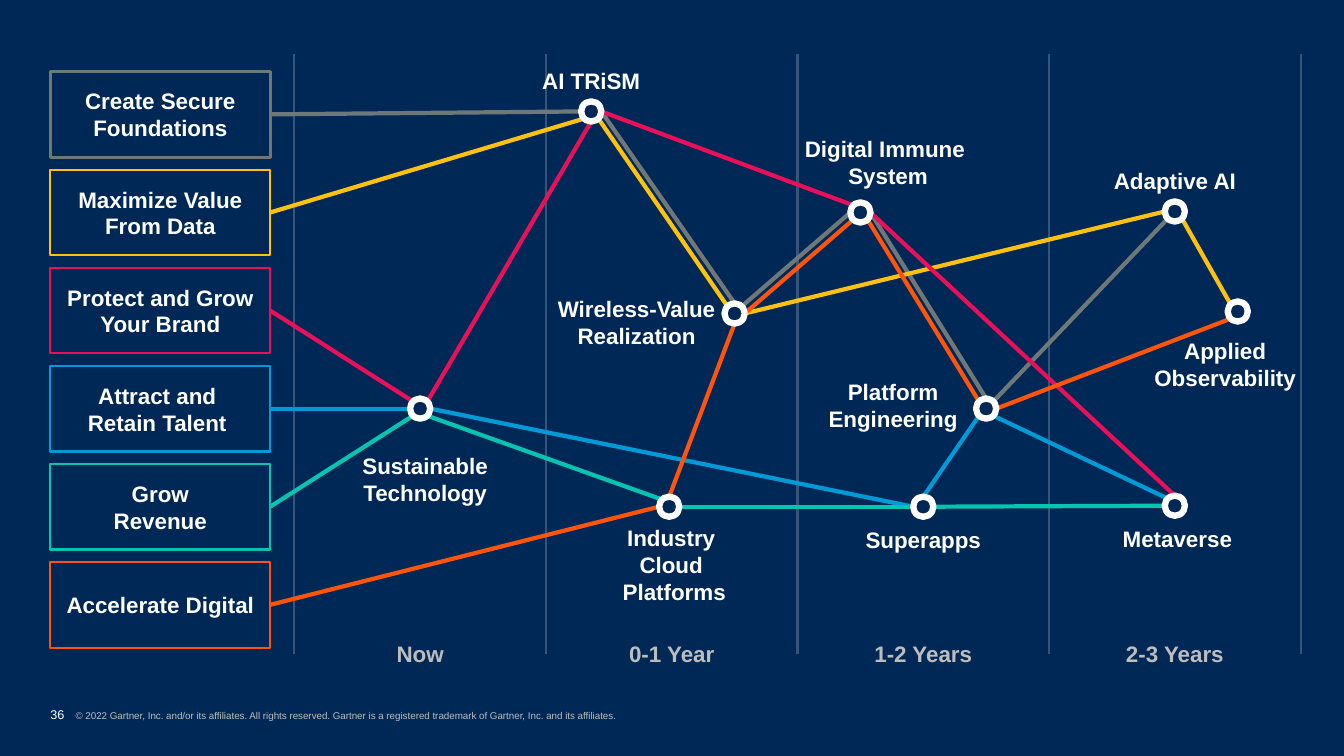
from dataclasses import dataclass
from math import cos, radians, sin

from lxml import etree
from pptx import Presentation
from pptx import util as u
from pptx.dml.color import RGBColor
from pptx.enum import shapes, text
from pptx.oxml.ns import qn

NAVY = RGBColor(0x00, 0x28, 0x56)
RULE = RGBColor(0x35, 0x55, 0x78)
WHITE = RGBColor(0xFF, 0xFF, 0xFF)
PALE = RGBColor(0xBD, 0xBD, 0xBD)
GREY = RGBColor(0x6F, 0x78, 0x78)
GOLD = RGBColor(0xFE, 0xC1, 0x0D)
PINK = RGBColor(0xE8, 0x11, 0x59)
BLUE = RGBColor(0x00, 0x9A, 0xD7)
TEAL = RGBColor(0x06, 0xC4, 0xB0)
FLAME = RGBColor(0xFF, 0x54, 0x0A)

FONT = "Arial"
LEFT, COL = 2.92, 2.495
TOP, ROW = 1.135, 0.973
EDGE, WIDE, HIGH = 0.5, 2.18, 0.85
SIZE, LINE = 0.2, 0.37
N, NW, W, SW, S, SE, E, NE = range(8)


@dataclass
class Node:
    col: float
    row: float
    name: str
    x: float
    y: float
    span: float


@dataclass
class Link:
    tail: str
    out: int
    head: str
    into: int


@dataclass
class Goal:
    name: str
    color: RGBColor
    head: str
    into: int
    links: list[Link]
    width: float = 1.5


NODES = {
    "super": Node(2.5, 4, "Superapps", 2.5, 4.33, 0.65),
    "meta": Node(3.5, 3.99, "Metaverse", 3.51, 4.32, 0.54),
    "cloud": Node(1.49, 4, "Industry \nCloud \nPlatforms", 1.51, 4.59, 0.82),
    "watch": Node(3.75, 2.01, "Applied Observability", 3.7, 2.55, 0.62),
    "plat": Node(2.75, 3, "Platform Engineering", 2.38, 2.96, 0.67),
    "value": Node(1.75, 2.03, "Wireless-Value Realization", 1.36, 2.12, 0.71),
    "adapt": Node(3.5, 0.99, "Adaptive AI", 3.5, 0.67, 0.62),
    "immune": Node(2.25, 1, "Digital Immune \nSystem", 2.36, 0.49, 0.89),
    "trism": Node(1.18, -0.03, "AI TRiSM", 1.18, -0.35, 0.54),
    "green": Node(0.5, 3, "Sustainable Technology", 0.52, 3.72, 0.57),
}

GOALS = [
    Goal("Create Secure Foundations", GREY, "trism", W, [
        Link("trism", E, "value", N), Link("value", NE, "immune", W),
        Link("immune", E, "plat", N), Link("plat", NE, "adapt", SW)], 2.25),
    Goal("Maximize Value\nFrom Data", GOLD, "trism", SW, [
        Link("adapt", SE, "watch", NW), Link("trism", SE, "value", NW),
        Link("value", E, "adapt", W)]),
    Goal("Protect and Grow Your Brand", PINK, "green", NW, [
        Link("green", NE, "trism", S), Link("immune", E, "meta", N),
        Link("trism", E, "immune", NW)]),
    Goal("Attract and \nRetain Talent ", BLUE, "green", W, [
        Link("green", E, "super", W), Link("plat", SW, "super", N),
        Link("plat", SE, "meta", NW)]),
    Goal("Grow\nRevenue", TEAL, "green", SW, [
        Link("super", E, "meta", W), Link("cloud", E, "super", W),
        Link("green", SE, "cloud", NW)]),
    Goal("Accelerate Digital", FLAME, "cloud", W, [
        Link("cloud", N, "value", S), Link("value", E, "immune", SW),
        Link("immune", SE, "plat", NW), Link("plat", E, "watch", SW)]),
]

TIMES = ["Now", "0-1 Year", "1-2 Years", "2-3 Years"]


def across(col: float) -> float:
    return LEFT + COL * col


def down(row: float) -> float:
    return TOP + ROW * row


def write(frame, words: str, color: RGBColor, inset: float) -> None:
    frame.word_wrap = True
    frame.vertical_anchor = text.MSO_ANCHOR.MIDDLE
    frame.margin_left = frame.margin_right = u.Inches(inset)
    frame.margin_top = frame.margin_bottom = u.Inches(inset)
    para = frame.paragraphs[0]
    para.text = words
    para.alignment = text.PP_ALIGN.CENTER
    para.font.name = FONT
    para.font.size = u.Pt(16)
    para.font.bold = True
    para.font.color.rgb = color


def label(slide, words: str, col: float, row: float, span: float, color: RGBColor) -> None:
    wide = span * COL
    box = slide.shapes.add_textbox(
        u.Inches(across(col) - wide / 2), u.Inches(down(row) - LINE / 2),
        u.Inches(wide), u.Inches(LINE))
    write(box.text_frame, words, color, 0.04)


def shape(slide, kind, x: float, y: float, wide: float, high: float,
          color: RGBColor, width: float):
    item = slide.shapes.add_shape(
        kind, u.Inches(x), u.Inches(y), u.Inches(wide), u.Inches(high))
    item.shadow.inherit = False
    item.fill.solid()
    item.fill.fore_color.rgb = NAVY
    item.line.color.rgb = color
    item.line.width = u.Pt(width)
    return item


def stroke(slide, start: tuple[float, float], end: tuple[float, float],
           color: RGBColor, width: float):
    line = slide.shapes.add_connector(
        shapes.MSO_CONNECTOR.STRAIGHT, *map(u.Inches, start + end))
    line.line.color.rgb = color
    line.line.width = u.Pt(width)
    etree.SubElement(line.element.spPr, qn("a:effectLst"))
    return line


def rim(key: str, side: int) -> tuple[float, float]:
    node, turn = NODES[key], radians(90 + 45 * side)
    return (across(node.col) + SIZE / 2 * cos(turn),
            down(node.row) - SIZE / 2 * sin(turn))


def goal(slide, item: Goal, row: int) -> None:
    box = shape(slide, shapes.MSO_SHAPE.RECTANGLE, EDGE, down(row) - HIGH / 2,
                WIDE, HIGH, item.color, item.width)
    write(box.text_frame, item.name, WHITE, 0)
    first = stroke(slide, (EDGE + WIDE, down(row)), rim(item.head, item.into),
                   item.color, 3)
    first.begin_connect(box, 3)
    for link in item.links:
        stroke(slide, rim(link.tail, link.out), rim(link.head, link.into),
               item.color, 3)


def node(slide, item: Node) -> None:
    label(slide, item.name, item.x, item.y, item.span, WHITE)
    shape(slide, shapes.MSO_SHAPE.OVAL, across(item.col) - SIZE / 2,
          down(item.row) - SIZE / 2, SIZE, SIZE, WHITE, 4.5)


def footer(slide) -> None:
    box = slide.shapes.add_textbox(
        u.Inches(EDGE), u.Inches(7.01), u.Inches(7.85), u.Inches(0.15))
    frame = box.text_frame
    frame.word_wrap = True
    frame.vertical_anchor = text.MSO_ANCHOR.BOTTOM
    frame.margin_left = frame.margin_right = frame.margin_top = frame.margin_bottom = 0
    para = frame.paragraphs[0]
    props = para._p.get_or_add_pPr()
    props.set("marL", str(u.Inches(0.25)))
    props.set("indent", str(u.Inches(-0.25)))
    para.font.name = FONT
    legal = ("\t© 2022 Gartner, Inc. and/or its affiliates. All rights reserved. "
             "Gartner is a registered trademark of Gartner, Inc. and its affiliates.")
    for words, size, color in (("36", 9, WHITE), (legal, 7, PALE)):
        run = para.add_run()
        run.text = words
        run.font.size = u.Pt(size)
        run.font.color.rgb = color


def main() -> None:
    deck = Presentation()
    deck.slide_width, deck.slide_height = u.Inches(13.33), u.Inches(7.5)
    slide = deck.slides.add_slide(deck.slide_layouts[6])
    slide.background.fill.solid()
    slide.background.fill.fore_color.rgb = NAVY
    footer(slide)
    for col in range(len(TIMES) + 1):
        stroke(slide, (across(col), down(-0.62)), (across(col), down(5.5)), RULE, 1.5)
    for col, name in enumerate(TIMES):
        label(slide, name, col + 0.5, 5.5, 0.8, PALE)
    for row, item in enumerate(GOALS):
        goal(slide, item, row)
    for item in NODES.values():
        node(slide, item)
    deck.save("out.pptx")


if __name__ == "__main__":
    main()
